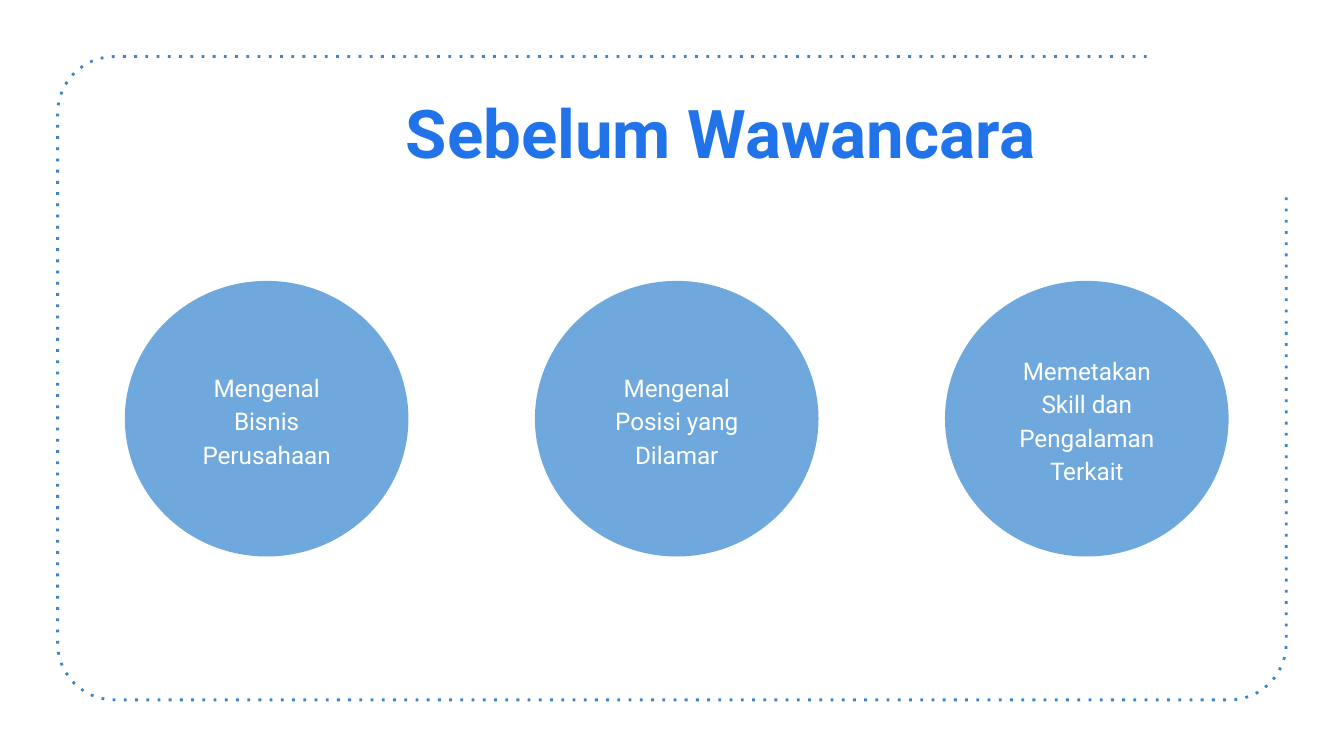
from math import cos, radians, sin

from lxml.etree import SubElement
from pptx import Presentation
from pptx.dml.color import RGBColor
from pptx.enum.shapes import MSO_SHAPE as Shape
from pptx.enum.text import MSO_ANCHOR as Anchor, MSO_AUTO_SIZE as AutoSize, PP_ALIGN as Align
from pptx.oxml.ns import qn
from pptx.util import Cm, Pt

FONT = "Roboto"
TOPICS = [
    "Mengenal Bisnis Perusahaan",
    "Mengenal Posisi yang Dilamar",
    "Memetakan Skill dan Pengalaman Terkait",
]


def color(hex_code):
    return RGBColor.from_string(hex_code)


def write(shape, text, size, hex_code, bold=False, align=Align.LEFT,
          anchor=Anchor.TOP, spacing=1.0, auto_size=AutoSize.NONE):
    """Put formatted text into a shape or placeholder."""
    frame = shape.text_frame
    frame.text = text
    frame.word_wrap = True
    frame.auto_size = auto_size
    frame.vertical_anchor = anchor
    frame.margin_left = frame.margin_right = Cm(0.25)
    frame.margin_top = frame.margin_bottom = Cm(0.25)
    paragraph = frame.paragraphs[0]
    paragraph.alignment = align
    paragraph.line_spacing = spacing
    font = paragraph.runs[0].font
    font.name, font.size, font.bold = FONT, Pt(size), bold
    font.color.rgb = color(hex_code)


def corner(center_x, center_y, radius, start, end, steps=12):
    """Points of a rounded corner, with angles measured clockwise from the right."""
    angles = [radians(start + (end - start) * i / steps) for i in range(steps + 1)]
    return [(center_x + radius * cos(a), center_y + radius * sin(a)) for a in angles]


def add_frame(slide):
    """Dotted rounded border, open at the top right."""
    left, top, right, bottom, radius = 1.09, 1.07, 24.31, 13.23, 1.07
    near_left, near_right = left + radius, right - radius
    near_top, near_bottom = top + radius, bottom - radius
    outline = [
        *corner(near_left, near_top, radius, 270, 180),
        *corner(near_left, near_bottom, radius, 180, 90),
        *corner(near_right, near_bottom, radius, 90, 0),
        (right, 3.71),
    ]
    builder = slide.shapes.build_freeform(Cm(21.67), Cm(top))
    builder.add_line_segments([(Cm(x), Cm(y)) for x, y in outline], close=False)
    border = builder.convert_to_shape()
    border.shadow.inherit = False
    border.fill.background()
    border.line.color.rgb = color("3D85C6")
    border.line.width = Pt(1.5)
    line = border._element.spPr.find(qn("a:ln"))
    SubElement(line, qn("a:prstDash")).set("val", "dot")


def add_title(slide, text):
    title = slide.shapes.title
    title.left, title.top, title.width, title.height = Cm(7.42), Cm(1.47), Cm(12.75), Cm(2.06)
    write(title, text, 36, "2173EA", bold=True, auto_size=AutoSize.SHAPE_TO_FIT_TEXT)


def add_topic(slide, text, left):
    circle = slide.shapes.add_shape(Shape.OVAL, Cm(left), Cm(5.31), Cm(5.36), Cm(5.21))
    circle.shadow.inherit = False
    circle.fill.solid()
    circle.fill.fore_color.rgb = color("6FA8DC")
    circle.line.fill.background()
    write(circle, text, 13, "FFFFFF", align=Align.CENTER, anchor=Anchor.MIDDLE, spacing=1.15)


def main():
    deck = Presentation()
    deck.slide_width, deck.slide_height = Cm(25.4), Cm(14.29)
    slide = deck.slides.add_slide(deck.slide_layouts[5])  # title only

    add_frame(slide)
    add_title(slide, "Sebelum Wawancara")

    # Three evenly spaced topics
    for index, topic in enumerate(TOPICS):
        add_topic(slide, topic, 2.36 + 7.75 * index)

    deck.save("out.pptx")


if __name__ == "__main__":
    main()
